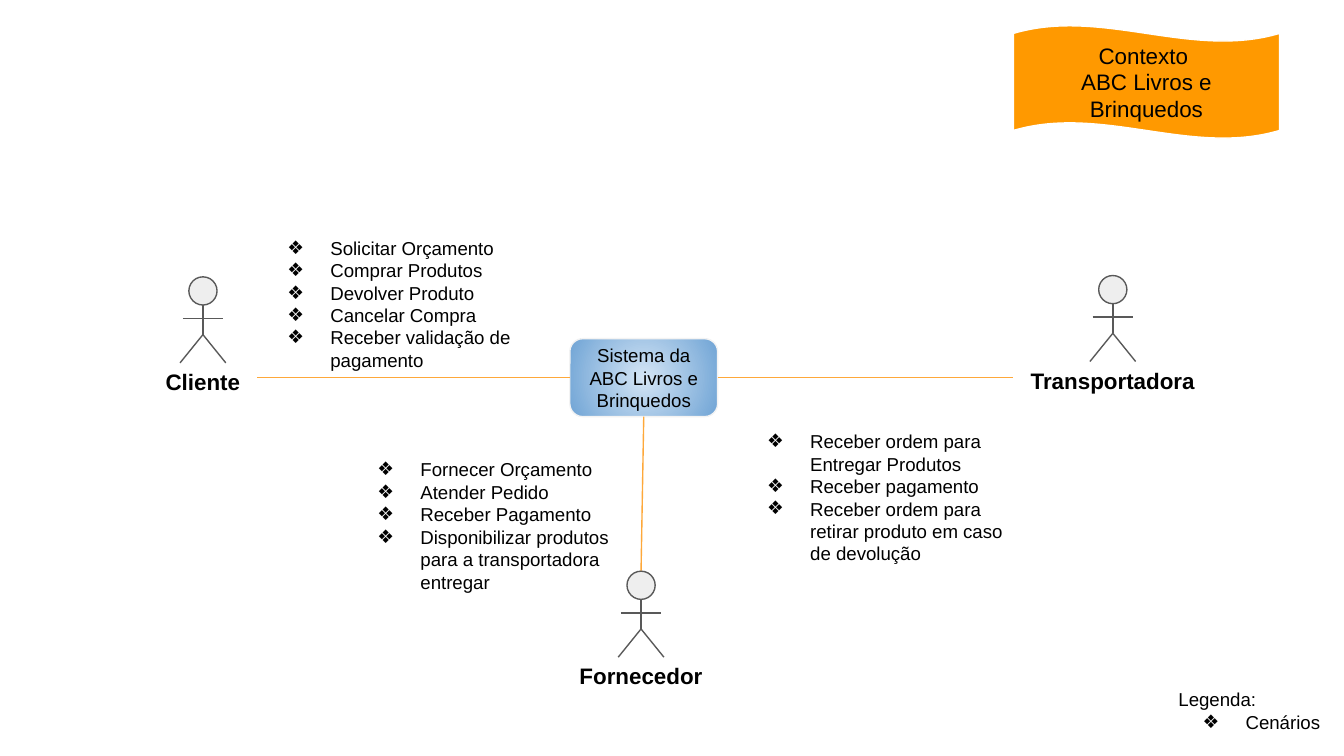
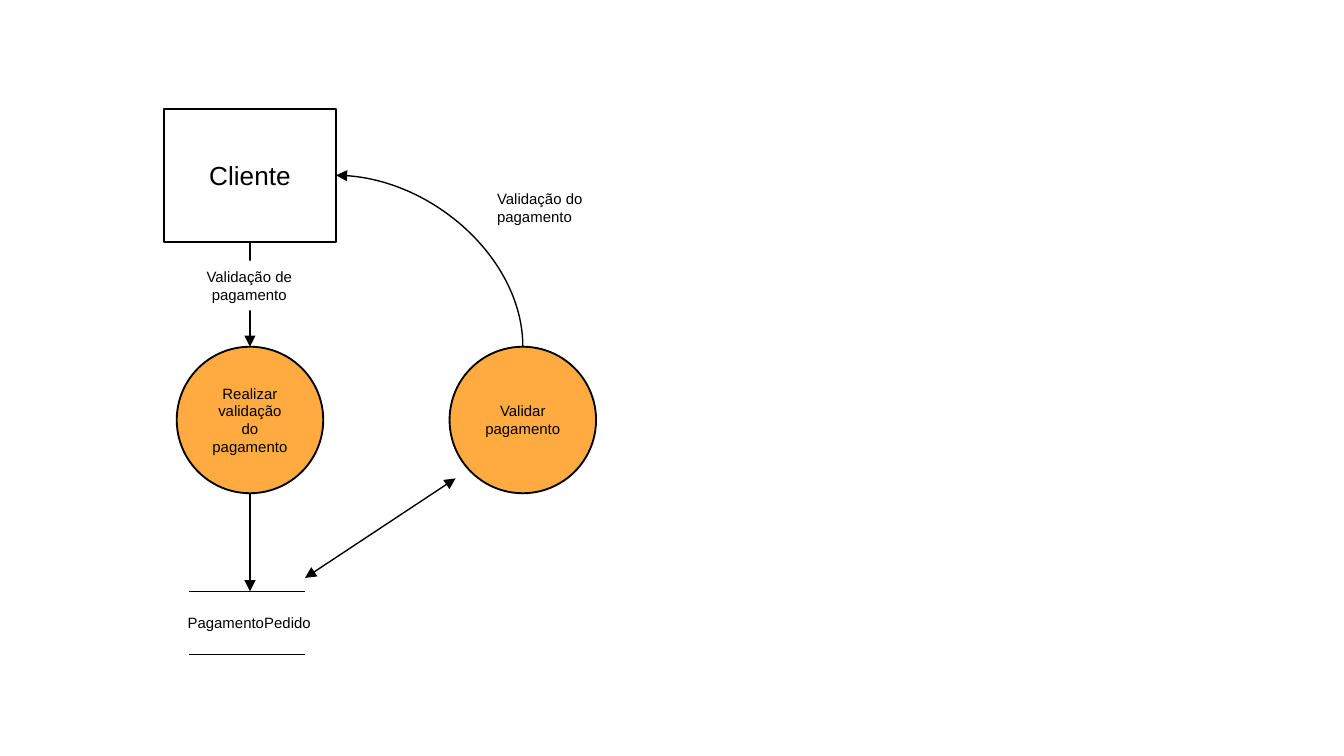
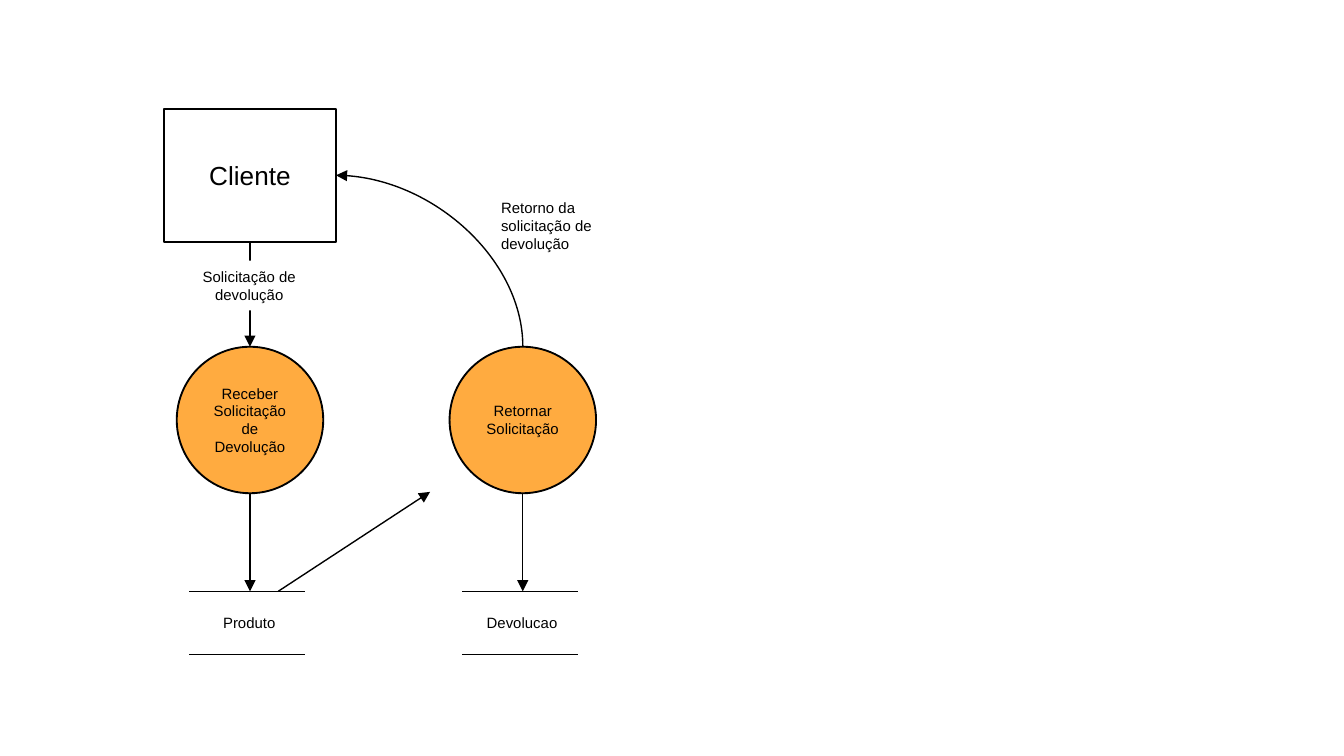
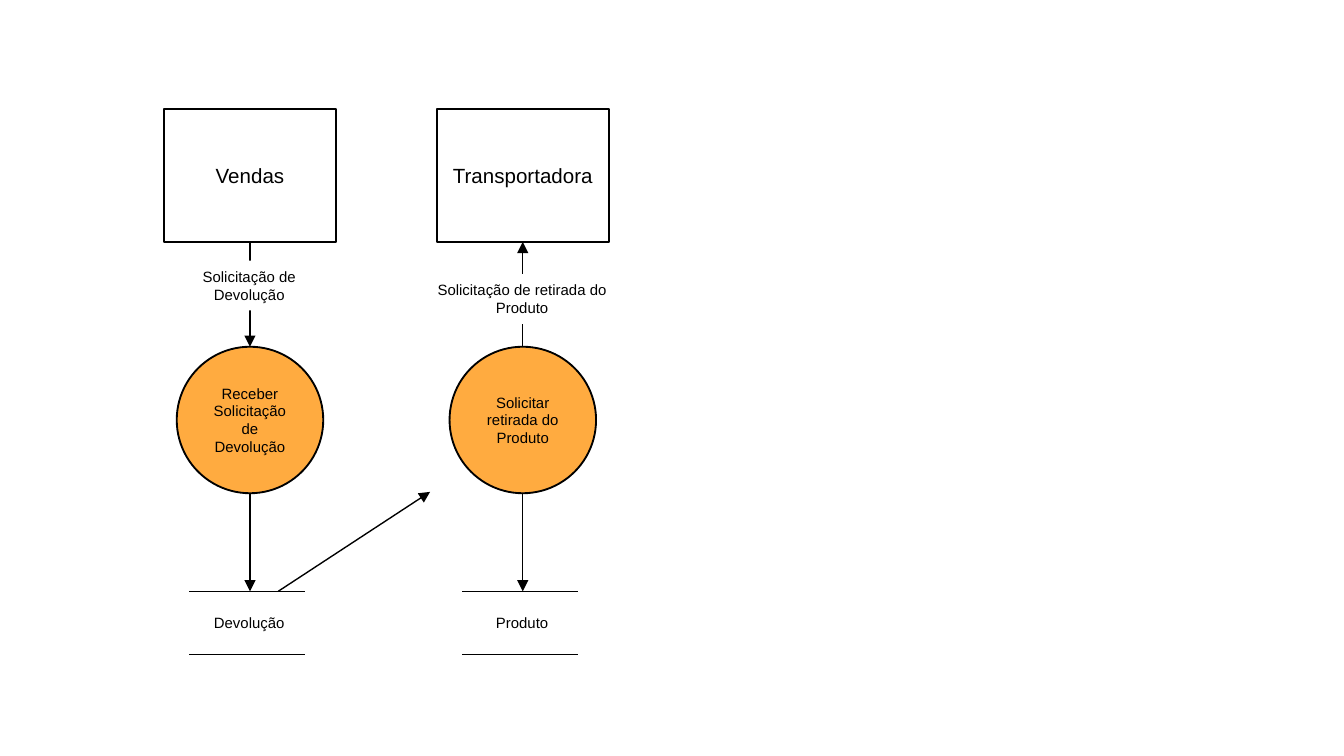
from lxml import etree
from pptx import Presentation
from pptx.dml.color import RGBColor
from pptx.enum.shapes import MSO_CONNECTOR, MSO_SHAPE
from pptx.enum.text import MSO_ANCHOR, MSO_AUTO_SIZE, PP_ALIGN
from pptx.oxml.ns import qn
from pptx.util import Inches, Pt

FONT = "Arial"
BLACK = RGBColor(0x00, 0x00, 0x00)
WHITE = RGBColor(0xFF, 0xFF, 0xFF)
BANNER_ORANGE = RGBColor(0xFF, 0x99, 0x00)
LINK_ORANGE = RGBColor(0xFE, 0xA8, 0x3A)
PROCESS_ORANGE = RGBColor(0xFF, 0xAB, 0x40)
ACTOR_GRAY = RGBColor(0x59, 0x59, 0x59)
HEAD_GRAY = RGBColor(0xEE, 0xEE, 0xEE)
SYSTEM_EDGE = RGBColor(0xF3, 0xF3, 0xF3)
SYSTEM_LIGHT = RGBColor(0xD4, 0xE5, 0xF5)
SYSTEM_DARK = RGBColor(0x70, 0xA4, 0xD5)

BANNER = ["Contexto ", "ABC Livros e Brinquedos"]
SYSTEM = "Sistema da ABC Livros e Brinquedos"
LEGEND = ["Legenda:", "Cenários"]
ACTORS = [
    {"name": "Fornecedor", "head": (4.77, 4.25), "list_at": (2.53, 3.31),
     "link_end": (4.77, 4.25), "system_side": 2,
     "scenarios": ["Fornecer Orçamento", "Atender Pedido", "Receber Pagamento",
                   "Disponibilizar produtos para a transportadora entregar"]},
    {"name": "Transportadora", "head": (8.28, 2.05), "list_at": (5.43, 3.1),
     "link_end": (7.54, 2.81), "system_side": 3,
     "scenarios": ["Receber ordem para Entregar Produtos", "Receber pagamento",
                   "Receber ordem para retirar produto em caso de devolução"]},
    {"name": "Cliente", "head": (1.51, 2.06), "list_at": (1.86, 1.66),
     "link_end": (1.91, 2.81), "system_side": 1,
     "scenarios": ["Solicitar Orçamento", "Comprar Produtos", "Devolver Produto",
                   "Cancelar Compra", "Receber validação de pagamento"]},
]

FLOWS = [
    {"entities": ["Cliente"], "entity_size": 14,
     "processes": ["Realizar validação do pagamento", "Validar pagamento"],
     "stores": ["PagamentoPedido"],
     "request": "Validação de pagamento",
     "reply": "Validação do pagamento", "reply_at": (3.6, 1.36, 0.93, 0.37),
     "transfer": ((2.27, 4.3), (3.39, 3.56)), "two_way": True},
    {"entities": ["Cliente"], "entity_size": 14,
     "processes": ["Receber Solicitação de Devolução", "Retornar Solicitação"],
     "stores": ["Produto", "Devolucao"],
     "request": "Solicitação de devolução",
     "reply": "Retorno da solicitação de devolução", "reply_at": (3.63, 1.43, 0.93, 0.5),
     "transfer": ((2.07, 4.4), (3.2, 3.66)), "two_way": False},
    {"entities": ["Vendas", "Transportadora"], "entity_size": 11,
     "processes": ["Receber Solicitação de Devolução", "Solicitar retirada do Produto"],
     "stores": ["Devolução", "Produto"],
     "request": "Solicitação de Devolução",
     "reply": "Solicitação de retirada do Produto", "reply_at": (3.09, 2.04, 1.59, 0.37),
     "transfer": ((2.07, 4.4), (3.2, 3.66)), "two_way": False},
]

COLUMNS = [1.86 + 2.03 * column for column in range(2)]
ENTITY_TOP, ENTITY_W, ENTITY_H = 0.81, 1.28, 0.99
PROCESS_TOP, PROCESS_D = 2.58, 1.09
STORE_TOP, STORE_BOTTOM = 4.4, 4.87
HEAD = 0.21


def inches(values):
    return [Inches(value) for value in values]


def add_xml(parent, tag, **attributes):
    return etree.SubElement(parent, qn(tag), attributes)


def write(shape, paragraphs, size=8, bold=False, align=PP_ALIGN.CENTER,
          anchor=MSO_ANCHOR.TOP, inset=0.05, bullets_from=None, grow=False):
    frame = shape.text_frame
    frame.word_wrap = True
    frame.auto_size = MSO_AUTO_SIZE.SHAPE_TO_FIT_TEXT if grow else MSO_AUTO_SIZE.NONE
    frame.vertical_anchor = anchor
    frame.margin_left = frame.margin_right = Inches(0.1)
    frame.margin_top = frame.margin_bottom = Inches(inset)
    for index, text in enumerate(paragraphs):
        paragraph = frame.paragraphs[0] if index == 0 else frame.add_paragraph()
        paragraph.alignment = align
        if bullets_from is not None and index >= bullets_from:
            properties = paragraph._p.get_or_add_pPr()
            properties.set("marL", str(Inches(0.5)))
            properties.set("indent", str(Inches(-0.32)))
            add_xml(add_xml(properties, "a:buClr"), "a:srgbClr", val=str(BLACK))
            add_xml(properties, "a:buFont", typeface=FONT)
            add_xml(properties, "a:buChar", char="❖")
        run = paragraph.add_run()
        run.text = text
        run.font.name, run.font.size, run.font.bold = FONT, Pt(size), bold
        run.font.color.rgb = BLACK


def add_label(shapes, at, paragraphs, **text_format):
    write(shapes.add_textbox(*inches(at)), paragraphs, **text_format)


def add_figure(shapes, kind, at, fill=None, line=None, width=0.75):
    figure = shapes.add_shape(kind, *inches(at))
    figure.shadow.inherit = False
    if fill is None:
        figure.fill.background()
    else:
        figure.fill.solid()
        figure.fill.fore_color.rgb = fill
    if line is None:
        figure.line.fill.background()
    else:
        figure.line.color.rgb = line
        figure.line.width = Pt(width)
    return figure


def add_line(shapes, start, end, color=BLACK, arrows=(), begin=None, finish=None,
             kind=MSO_CONNECTOR.STRAIGHT):
    line = shapes.add_connector(kind, *inches((*start, *end)))
    line.line.color.rgb = color
    line.line.width = Pt(0.75)
    for arrow in arrows:
        add_xml(line.element.spPr.find(qn("a:ln")), arrow, type="triangle")
    add_xml(line.element.spPr, "a:effectLst")
    if begin:
        line.begin_connect(*begin)
    if finish:
        line.end_connect(*finish)
    return line


def add_curve(shapes, start, end):
    middle_x, middle_y = (start[0] + end[0]) / 2, (start[1] + end[1]) / 2
    half_w, half_h = abs(start[1] - end[1]) / 2, abs(start[0] - end[0]) / 2
    curve = add_line(shapes, (middle_x - half_w, middle_y + half_h),
                     (middle_x + half_w, middle_y - half_h),
                     arrows=["a:tailEnd"], kind=MSO_CONNECTOR.CURVE)
    properties = curve.element.spPr
    properties.find(qn("a:xfrm")).set("rot", str(270 * 60000))
    properties.find(qn("a:prstGeom")).set("prst", "curvedConnector2")


def add_system(shapes):
    system = add_figure(shapes, MSO_SHAPE.ROUNDED_RECTANGLE, (4.24, 2.52, 1.1, 0.58),
                        line=SYSTEM_EDGE)
    system.fill.gradient()
    for stop, color in zip(system.fill.gradient_stops, (SYSTEM_LIGHT, SYSTEM_DARK)):
        stop.color.rgb = color
    gradient = system.element.spPr.find(qn("a:gradFill"))
    gradient.remove(gradient.find(qn("a:lin")))
    center = dict.fromkeys("ltrb", "50000")
    add_xml(add_xml(gradient, "a:path", path="circle"), "a:fillToRect", **center)
    write(system, [SYSTEM], size=10, anchor=MSO_ANCHOR.MIDDLE, inset=0.1)
    return system


def add_actor(shapes, name, x, top):
    body = shapes.add_group_shape().shapes
    add_figure(body, MSO_SHAPE.FLOWCHART_CONNECTOR, (x - HEAD / 2, top, HEAD, HEAD),
               HEAD_GRAY, ACTOR_GRAY)
    arms, hip, feet = top + 0.31, top + 0.43, top + 0.64
    for start, end in [((x, top + HEAD), (x, hip)),
                       ((x - 0.15, arms), (x + 0.15, arms)),
                       ((x, hip), (x - 0.17, feet)),
                       ((x + 0.17, feet), (x, hip))]:
        add_line(body, start, end, ACTOR_GRAY)
    add_label(shapes, (x - 0.73, top + 0.58, 1.46, 0.38), [name],
              size=12, bold=True, inset=0.1)


def draw_context(shapes):
    banner = add_figure(shapes, MSO_SHAPE.WAVE, (7.54, 0.19, 1.98, 0.84),
                        BANNER_ORANGE, WHITE)
    banner.adjustments[0] = 0.07
    write(banner, BANNER, size=12, anchor=MSO_ANCHOR.MIDDLE, inset=0.1)
    add_label(shapes, (8.67, 5.02, 1.27, 0.52), LEGEND, size=10,
              align=PP_ALIGN.LEFT, inset=0.1, bullets_from=1)
    system = add_system(shapes)
    for actor in ACTORS:
        end = actor["link_end"]
        add_line(shapes, end, end, LINK_ORANGE, begin=(system, actor["system_side"]))
        add_actor(shapes, actor["name"], *actor["head"])
        add_label(shapes, (*actor["list_at"], 2.19, 1.01), actor["scenarios"], size=10,
                  align=PP_ALIGN.LEFT, inset=0.1, bullets_from=0)


def draw_flow(shapes, flow):
    entities, processes = [], []
    for x, name in zip(COLUMNS, flow["entities"]):
        entity = add_figure(shapes, MSO_SHAPE.RECTANGLE,
                            (x - ENTITY_W / 2, ENTITY_TOP, ENTITY_W, ENTITY_H),
                            line=BLACK, width=1)
        write(entity, [name], size=flow["entity_size"], anchor=MSO_ANCHOR.MIDDLE)
        entities.append(entity)
    for x, name in zip(COLUMNS, flow["processes"]):
        process = add_figure(shapes, MSO_SHAPE.FLOWCHART_CONNECTOR,
                             (x - PROCESS_D / 2, PROCESS_TOP, PROCESS_D, PROCESS_D),
                             PROCESS_ORANGE, BLACK, 1)
        write(process, [name], anchor=MSO_ANCHOR.MIDDLE)
        processes.append(process)
    for x, name in zip(COLUMNS, flow["stores"]):
        add_line(shapes, (x, PROCESS_TOP + PROCESS_D), (x, STORE_TOP), arrows=["a:tailEnd"])
        for y in (STORE_TOP, STORE_BOTTOM):
            add_line(shapes, (x - 0.45, y), (x + 0.41, y))
        add_label(shapes, (x - 0.69, STORE_TOP + 0.12, 1.37, 0.24), [name], grow=True)

    first, second = COLUMNS
    entity_bottom = ENTITY_TOP + ENTITY_H
    add_line(shapes, (first, entity_bottom), (first, PROCESS_TOP), arrows=["a:tailEnd"],
             begin=(entities[0], 2), finish=(processes[0], 0))
    tags = [(flow["request"], (first - 0.5, 1.94, 0.99, 0.37))]
    if len(entities) == 2:
        add_line(shapes, (second, PROCESS_TOP), (second, entity_bottom),
                 arrows=["a:tailEnd"], begin=(processes[1], 0), finish=(entities[1], 2))
        tags.append((flow["reply"], flow["reply_at"]))
    else:
        add_curve(shapes, (second, PROCESS_TOP),
                  (first + ENTITY_W / 2, ENTITY_TOP + ENTITY_H / 2))
        add_label(shapes, flow["reply_at"], [flow["reply"]], align=PP_ALIGN.LEFT, grow=True)
    for text, at in tags:
        write(add_figure(shapes, MSO_SHAPE.RECTANGLE, at, WHITE), [text], grow=True)
    add_line(shapes, *flow["transfer"],
             arrows=["a:headEnd", "a:tailEnd"] if flow["two_way"] else ["a:tailEnd"])


def main():
    deck = Presentation()
    deck.slide_width = Inches(10)
    deck.slide_height = deck.slide_width * 9 // 16
    blank = deck.slide_layouts[6]
    draw_context(deck.slides.add_slide(blank).shapes)
    for flow in FLOWS:
        draw_flow(deck.slides.add_slide(blank).shapes, flow)
    deck.save("out.pptx")


if __name__ == "__main__":
    main()
